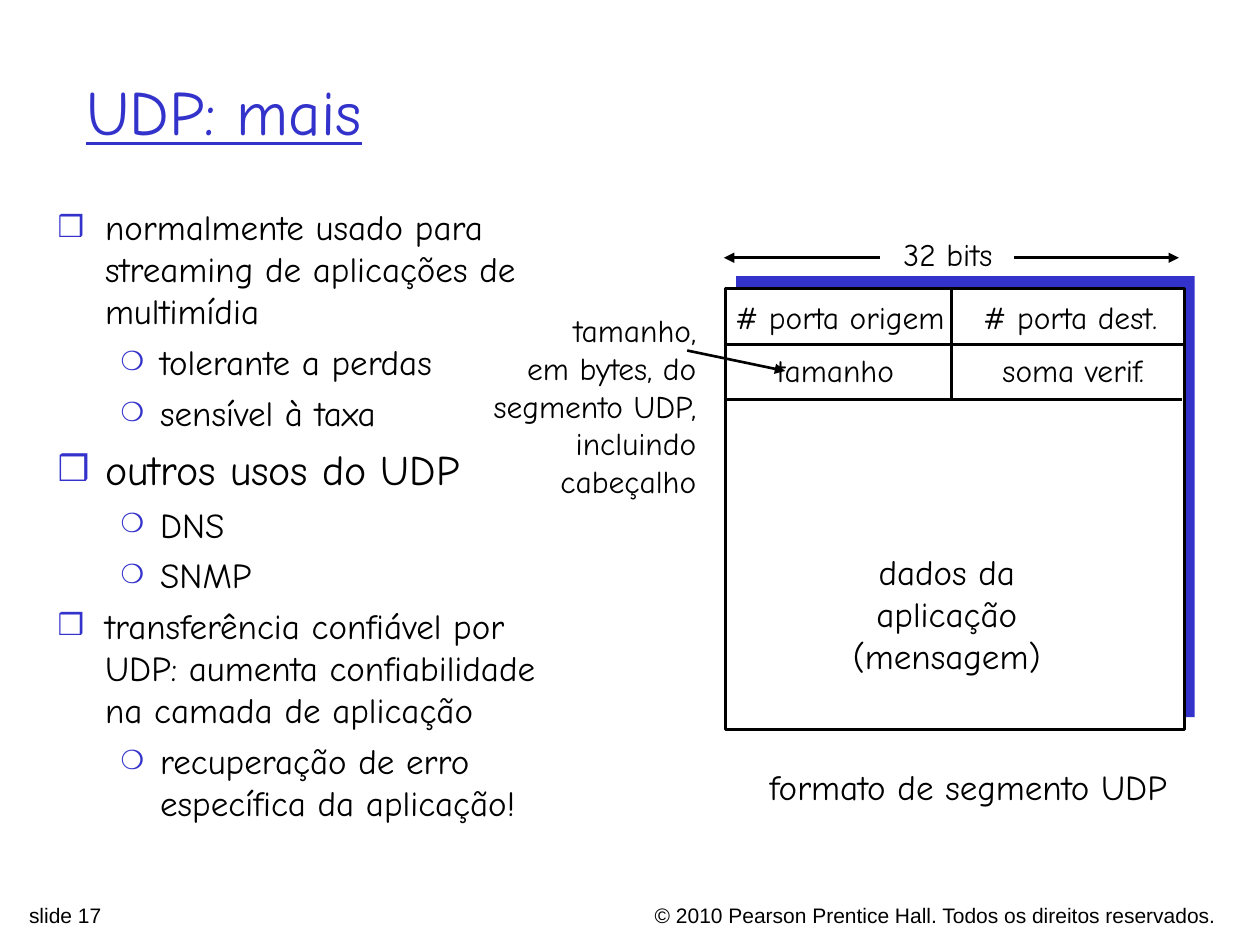
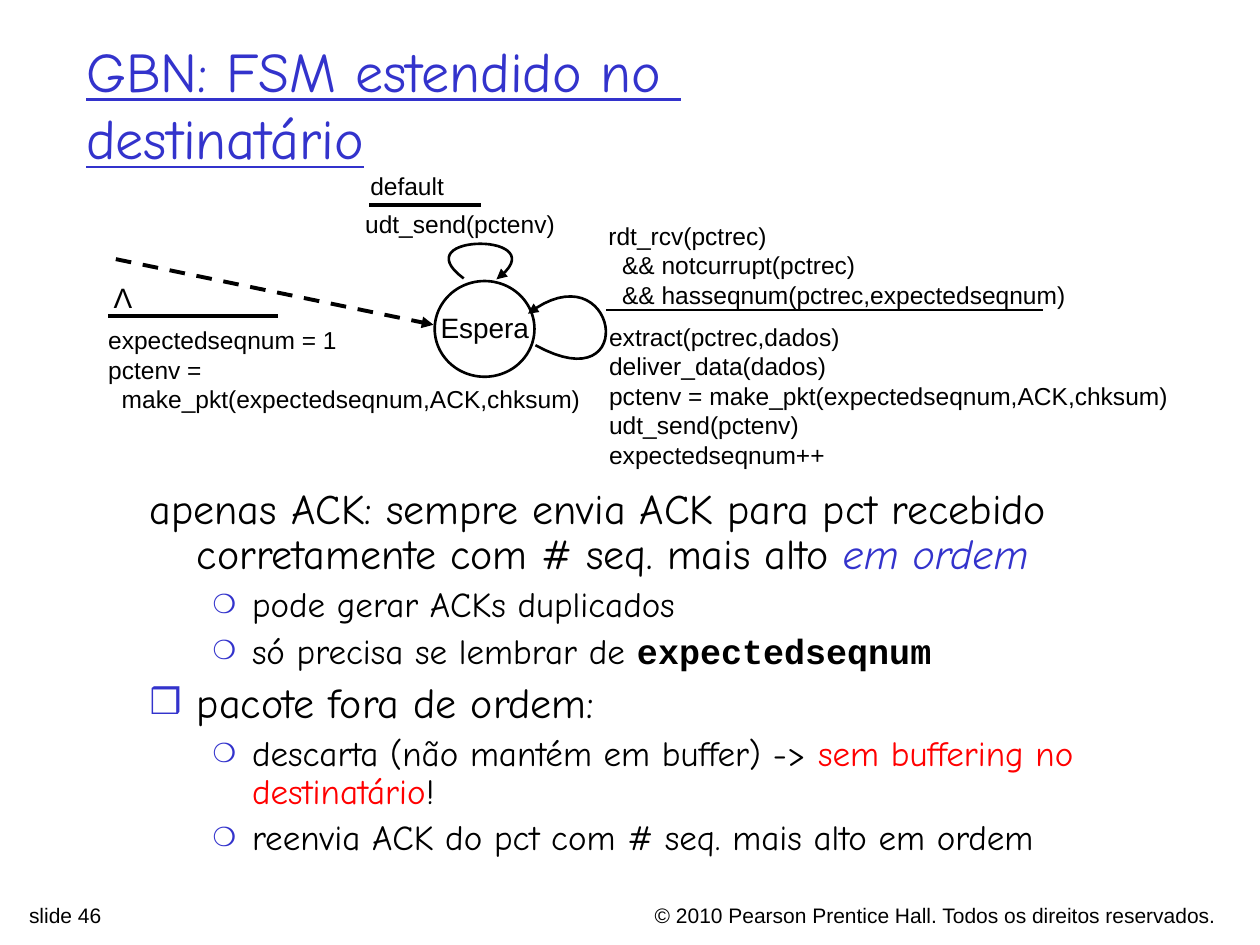
from lxml import etree
from pptx import Presentation
from pptx.dml.color import RGBColor
from pptx.enum.dml import MSO_LINE
from pptx.enum.shapes import MSO_CONNECTOR, MSO_SHAPE
from pptx.enum.text import MSO_ANCHOR, MSO_AUTO_SIZE, PP_ALIGN
from pptx.oxml.ns import qn
from pptx.util import Pt

COLORS = {"blue": "3333CC", "black": "000000", "white": "FFFFFF", "red": "FF0000"}
HAND, SANS, CODE = "Comic Neue", "Arial", "Courier New"
LEFT, CENTER, RIGHT = PP_ALIGN.LEFT, PP_ALIGN.CENTER, PP_ALIGN.RIGHT
BULLETS = [("❒", 85000, 27, 27), ("❍", 75000, 58.5, 22.5)]
COPYRIGHT = "© 2010 Pearson Prentice Hall. Todos os direitos reservados."


def color(name):
    return RGBColor.from_string(COLORS[name])


def place(shape, box):
    shape.left, shape.top, shape.width, shape.height = map(Pt, box)


def add_run(paragraph, text, size, font=HAND, ink="black", bold=False, italic=False, underline=False):
    for index, line in enumerate(text.split("\n")):
        if index:
            paragraph.add_line_break()
        run = paragraph.add_run()
        run.text = line
        run.font.size = Pt(size)
        run.font.name = font
        run.font.color.rgb = color(ink)
        run.font.bold = bold
        run.font.italic = italic
        run.font.underline = underline


def next_paragraph(frame, index):
    return frame.add_paragraph() if index else frame.paragraphs[0]


def add_label(slide, box, lines, size, font=HAND, align=LEFT, wrap=False):
    frame = slide.shapes.add_textbox(*map(Pt, box)).text_frame
    frame.word_wrap = wrap
    for index, line in enumerate(lines):
        paragraph = next_paragraph(frame, index)
        paragraph.alignment = align
        add_run(paragraph, line, size, font)


def style_line(shape, width, arrow=False, dashed=False):
    shape.line.color.rgb = color("black")
    shape.line.width = Pt(width)
    if dashed:
        shape.line.dash_style = MSO_LINE.DASH
    if arrow:
        outline = shape._element.spPr.find(qn("a:ln"))
        etree.SubElement(outline, qn("a:tailEnd"), type="triangle")


def add_line(slide, start, end, width=1.5, arrow=False, dashed=False):
    connector = slide.shapes.add_connector(MSO_CONNECTOR.STRAIGHT, *map(Pt, (*start, *end)))
    style_line(connector, width, arrow, dashed)
    etree.SubElement(connector._element.spPr, qn("a:effectLst"))


def add_shape(slide, preset, box, fill, outlined=True):
    shape = slide.shapes.add_shape(preset, *map(Pt, box))
    shape.shadow.inherit = False
    shape.fill.solid()
    shape.fill.fore_color.rgb = color(fill)
    if outlined:
        style_line(shape, 1.5)
    else:
        shape.line.fill.background()


def curve_point(controls, t):
    weights = ((1 - t) ** 3, 3 * t * (1 - t) ** 2, 3 * t * t * (1 - t), t ** 3)
    return tuple(Pt(sum(w * point[axis] for w, point in zip(weights, controls))) for axis in (0, 1))


def add_loop_arrow(slide, controls, steps=32):
    points = [curve_point(controls, step / steps) for step in range(steps + 1)]
    builder = slide.shapes.build_freeform(*points[0])
    builder.add_line_segments(points[1:], close=False)
    loop = builder.convert_to_shape()
    loop.shadow.inherit = False
    loop.fill.background()
    style_line(loop, 1.5, arrow=True)


def set_bullet(paragraph, level, marked):
    char, percent, margin, hanging = BULLETS[level]
    paragraph.level = level
    properties = paragraph._p.get_or_add_pPr()
    properties.set("marL", str(Pt(margin)))
    properties.set("indent", str(-Pt(hanging)))
    if not marked:
        etree.SubElement(properties, qn("a:buNone"))
        return
    tint = etree.SubElement(properties, qn("a:buClr"))
    etree.SubElement(tint, qn("a:srgbClr"), val=COLORS["blue"])
    etree.SubElement(properties, qn("a:buSzPct"), val=str(percent))
    etree.SubElement(properties, qn("a:buChar"), char=char)


def fill_title(slide, box, text, size):
    title = slide.shapes.title
    place(title, box)
    frame = title.text_frame
    frame.auto_size = MSO_AUTO_SIZE.NONE
    frame.vertical_anchor = MSO_ANCHOR.MIDDLE
    frame.paragraphs[0].alignment = LEFT
    add_run(frame.paragraphs[0], text, size, ink="blue", underline=True)


def fill_body(slide, box, items, line_spacing=1.0):
    body = slide.placeholders[1]
    place(body, box)
    frame = body.text_frame
    frame.auto_size = MSO_AUTO_SIZE.NONE
    for index, (level, size, runs, marked) in enumerate(items):
        paragraph = next_paragraph(frame, index)
        set_bullet(paragraph, level, marked)
        paragraph.line_spacing = line_spacing
        paragraph.space_before = Pt(size // 4 if index else 0)
        for text, style in runs:
            add_run(paragraph, text, size, **style)


def item(level, size, *runs, marked=True):
    pairs = [(run, {}) if isinstance(run, str) else run for run in runs]
    return level, size, pairs, marked


def add_footer(slide, number):
    add_label(slide, (9.5, 512, 253.5, 17), [f"slide {number}"], 12, SANS, wrap=True)
    add_label(slide, (334, 512, 368, 17), [COPYRIGHT], 12, SANS, RIGHT, wrap=True)


def new_slide(presentation, number):
    slide = presentation.slides.add_slide(presentation.slide_layouts[1])
    add_footer(slide, number)
    return slide


def draw_segment(slide, box):
    left, top, width, height = box
    row_height, divider = 31.7, left + 129
    add_shape(slide, MSO_SHAPE.RECTANGLE, (left + 6, top - 7.2, width, height), "blue", outlined=False)
    add_shape(slide, MSO_SHAPE.RECTANGLE, box, "white")
    rows = [
        [("# porta origem", 65.2, 136), ("# porta dest.", 196.9, 116)],
        [("tamanho", 62.6, 90), ("soma verif.", 198.6, 104)],
    ]
    for row, cells in enumerate(rows):
        row_top = top + row * row_height
        row_bottom = row_top + row_height
        for text, middle, cell_width in cells:
            cell_left = left + middle - cell_width / 2
            add_label(slide, (cell_left, top + 2 + 30 * row, cell_width, 29), [text], 18, align=CENTER)
        add_line(slide, (left - row, row_bottom), (left + width - row, row_bottom))
        add_line(slide, (divider, row_bottom), (divider, row_top))
    add_label(slide, (left + 65.5, top + 146, 121.7, 79), ["dados da", "aplicação\n(mensagem)"], 20, align=CENTER)
    add_label(slide, (left + 15, top + 269, 247.4, 32), ["formato de segmento UDP"], 20, align=CENTER)
    add_label(slide, (left + 87, top - 34, 80, 29), ["32 bits"], 18, align=CENTER)
    ruler = top - 17.7
    add_line(slide, (left + 165, ruler), (left + 259, ruler), arrow=True)
    add_line(slide, (left + 88, ruler), (left - 1, ruler), arrow=True)
    add_label(
        slide, (left - 141.5, top + 9.2, 131.8, 115),
        ["tamanho,\nem bytes, do\nsegmento UDP,", "incluindo", "cabeçalho"], 18, align=RIGHT,
    )
    add_line(slide, (left - 22, top + 35.3), (left + 34, top + 47), arrow=True)


def draw_state_machine(slide, box):
    left, top, width, height = box

    def at(x, y):
        return left + x, top + y

    def code(x, y, label_width, label_height, lines, size=14, align=LEFT, wrap=True):
        add_label(slide, (*at(x, y), label_width, label_height), lines, size, SANS, align, wrap)

    add_shape(slide, MSO_SHAPE.OVAL, (*at(193.4, 67), 57, 54.7), "white")
    code(187, 80.6, 70, 19, ["Espera"], 16, CENTER)
    add_line(slide, at(11.2, 54.5), at(192.7, 92), 2.25, arrow=True, dashed=True)

    code(146.6, 22.3, 127.4, 24.5, ["udt_send(pctenv)"])
    code(149.5, 0.3, 57, 19.4, ["default"])
    add_line(slide, at(156, 23.8), at(220, 23.8), 2.25)
    add_loop_arrow(slide, [at(210, 65.5), at(174, 39), at(265.4, 39), at(228.7, 66)])

    add_loop_arrow(slide, [at(251, 103.7), at(312.2, 137.5), at(297.8, 46.8), at(246.7, 85.7)])
    code(285.6, 29, 280.8, 44.6, [
        "rdt_rcv(pctrec)",
        "  && notcurrupt(pctrec)",
        "  && hasseqnum(pctrec,expectedseqnum)",
    ])
    add_line(slide, at(291.3, 83.5), at(541.2, 83.5))
    code(286, 86.8, width - 286, height - 86.8, [
        "extract(pctrec,dados)",
        "deliver_data(dados)",
        "pctenv = make_pkt(expectedseqnum,ACK,chksum)",
        "udt_send(pctenv)",
        "expectedseqnum++",
    ])

    add_line(slide, at(7, 87), at(104, 87), 2.25)
    code(-0.3, 88.8, 286.6, 77, [
        "expectedseqnum = 1",
        "pctenv =",
        "  make_pkt(expectedseqnum,ACK,chksum)",
    ])
    code(2.6, 63.4, 25.2, 26.6, ["Λ"], 16, CENTER, False)


def build_udp_slide(presentation):
    slide = new_slide(presentation, 17)
    fill_title(slide, (42, 18, 656.6, 90), "UDP: mais", 36)
    fill_body(slide, (25.8, 114, 308, 366), [
        item(0, 20, "normalmente usado para streaming de aplicações de multimídia"),
        item(1, 20, "tolerante a perdas"),
        item(1, 20, "sensível à taxa"),
        item(0, 24, "outros usos do UDP"),
        item(1, 20, "DNS"),
        item(1, 20, "SNMP"),
        item(0, 20, "transferência confiável por UDP: aumenta confiabilidade na camada de aplicação"),
        item(1, 20, "recuperação de erro específica da aplicação!"),
    ])
    draw_segment(slide, (414.7, 165, 262, 252))


def build_gbn_slide(presentation):
    slide = new_slide(presentation, 46)
    fill_title(slide, (42, 14.4, 612, 90), "GBN: FSM estendido no \ndestinatário", 32)
    fill_body(slide, (78.3, 275.3, 641.5, 224.6), [
        item(
            0, 24, "apenas ACK: sempre envia ACK para pct recebido corretamente com # seq. mais alto ",
            ("em ordem", {"ink": "blue", "italic": True}), marked=False,
        ),
        item(1, 20, "pode gerar ACKs duplicados"),
        item(1, 20, "só precisa se lembrar de ", ("expectedseqnum", {"font": CODE, "bold": True})),
        item(0, 24, "pacote fora de ordem:"),
        item(
            1, 20, "descarta (não mantém em buffer) -> ",
            ("sem buffering no destinatário", {"ink": "red"}), "!",
        ),
        item(1, 20, "reenvia ACK do pct com # seq. mais alto em ordem"),
    ], 0.9)
    draw_state_machine(slide, (55, 93.6, 626, 154))


def main():
    presentation = Presentation()
    presentation.slide_width, presentation.slide_height = Pt(720), Pt(540)
    build_udp_slide(presentation)
    build_gbn_slide(presentation)
    presentation.save("out.pptx")


if __name__ == "__main__":
    main()
